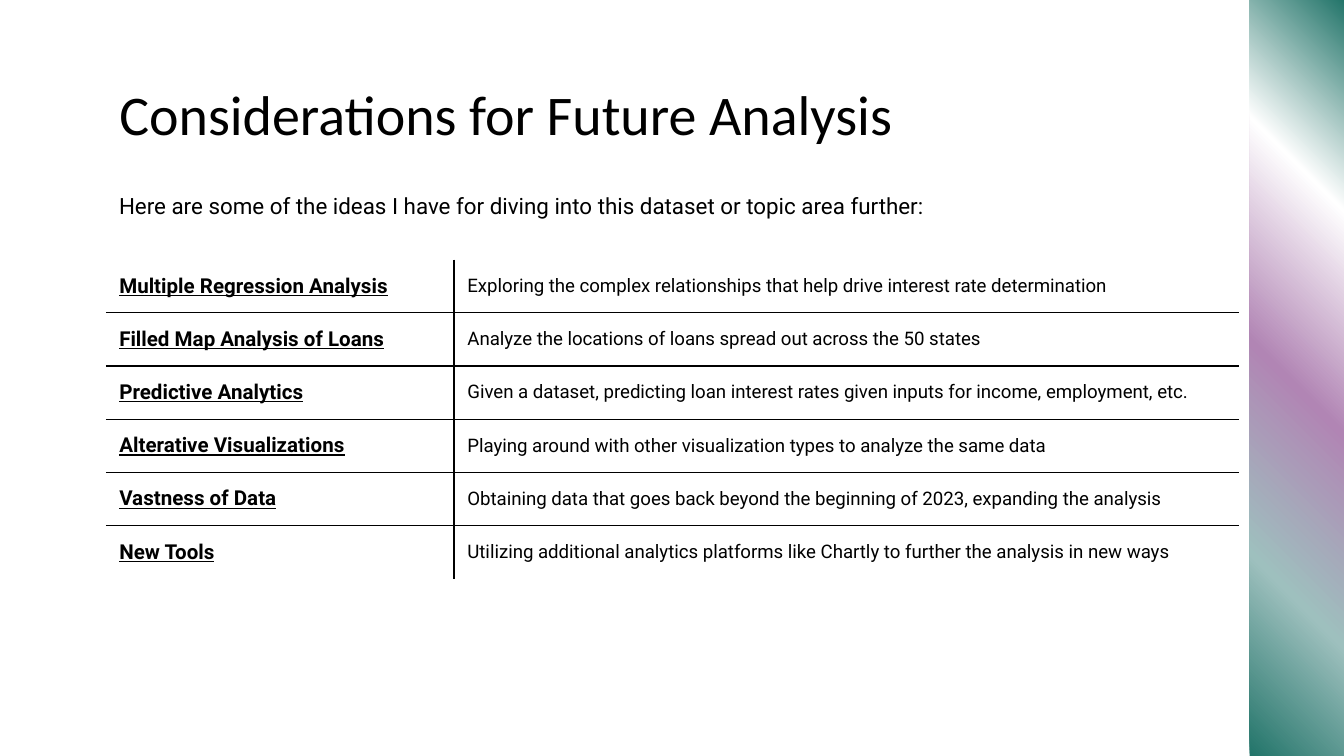
from lxml import etree
from pptx import Presentation
from pptx.dml.color import RGBColor
from pptx.enum.shapes import MSO_SHAPE
from pptx.enum.text import MSO_ANCHOR, MSO_AUTO_SIZE, PP_ALIGN
from pptx.oxml.ns import qn
from pptx.util import Pt

RECTANGLE = MSO_SHAPE.RECTANGLE
TOP, MIDDLE = MSO_ANCHOR.TOP, MSO_ANCHOR.MIDDLE
NO_FIT = MSO_AUTO_SIZE.NONE
LEFT_ALIGN = PP_ALIGN.LEFT

TITLE = "Considerations for Future Analysis"
INTRO = "Here are some of the ideas I have for diving into this dataset or topic area further:"
IDEAS = [
    ("Multiple Regression Analysis", "Exploring the complex relationships that help drive interest rate determination"),
    ("Filled Map Analysis of Loans", "Analyze the locations of loans spread out across the 50 states"),
    ("Predictive Analytics", "Given a dataset, predicting loan interest rates given inputs for income, employment, etc."),
    ("Alterative Visualizations", "Playing around with other visualization types to analyze the same data"),
    ("Vastness of Data", "Obtaining data that goes back beyond the beginning of 2023, expanding the analysis"),
    ("New Tools", "Utilizing additional analytics platforms like Chartly to further the analysis in new ways"),
]
BAND_STOPS = [(0, "207368"), (24, "9EC0BE"), (49, "B185B4"), (75, "FFFFFF"), (100, "207368")]
BLACK = "000000"
INSET = 7.2
LEFT = 56.7
COLUMN_WIDTHS = (186.5, 420.5)
WIDTH = sum(COLUMN_WIDTHS)
TABLE_TOP = 139.1
ROW_HEIGHT = 28.5
BORDER_WIDTH = 0.75


def color(hex_code):
    return RGBColor.from_string(hex_code)


def write(frame, text, size, font, strong=False):
    para = frame.paragraphs[0]
    para.alignment = LEFT_ALIGN
    span = para.add_run()
    span.text = text
    span.font.size = Pt(size)
    span.font.name = font
    span.font.bold = strong
    span.font.underline = strong
    span.font.color.rgb = color(BLACK)


def set_frame(frame, right_inset=INSET):
    frame.word_wrap = True
    frame.auto_size = NO_FIT
    frame.vertical_anchor = TOP
    frame.margin_left = frame.margin_top = frame.margin_bottom = Pt(INSET)
    frame.margin_right = Pt(right_inset)


def add_solid(parent, hex_code):
    solid = etree.SubElement(parent, qn("a:solidFill"))
    etree.SubElement(solid, qn("a:srgbClr"), val=hex_code)


def set_borders(cell, sides):
    properties = cell._tc.get_or_add_tcPr()
    for position, side in enumerate("LRTB"):
        line = etree.Element(qn(f"a:ln{side}"), w=str(Pt(BORDER_WIDTH)))
        if side in sides:
            add_solid(line, BLACK)
        else:
            etree.SubElement(line, qn("a:noFill"))
        properties.insert(position, line)


def add_band(page):
    band = page.shapes.add_shape(RECTANGLE, Pt(669.4), Pt(-2), Pt(50.6), Pt(409))
    band.shadow.inherit = False
    band.line.fill.background()
    band.fill.gradient()
    band.fill.gradient_angle = 45
    stops = band._element.spPr.find(".//" + qn("a:gsLst"))
    for stop in list(stops):
        stops.remove(stop)
    for percent, hex_code in BAND_STOPS:
        stop = etree.SubElement(stops, qn("a:gs"), pos=str(percent * 1000))
        etree.SubElement(stop, qn("a:srgbClr"), val=hex_code)


def add_ideas(page):
    frame = page.shapes.add_table(
        len(IDEAS), len(COLUMN_WIDTHS), Pt(LEFT), Pt(TABLE_TOP), Pt(WIDTH), Pt(ROW_HEIGHT * len(IDEAS))
    )
    table = frame.table
    table.first_row = table.horz_banding = False
    for column, width in zip(table.columns, COLUMN_WIDTHS):
        column.width = Pt(width)
    for row_index, idea in enumerate(IDEAS):
        table.rows[row_index].height = Pt(ROW_HEIGHT)
        for column_index, text in enumerate(idea):
            heading = column_index == 0
            cell = table.cell(row_index, column_index)
            cell.fill.background()
            cell.vertical_anchor = MIDDLE
            cell.margin_left = cell.margin_right = Pt(INSET)
            cell.margin_top = cell.margin_bottom = 0
            write(cell.text_frame, text, 11 if heading else 10, "Roboto", heading)
            sides = "R" if heading else "L"
            if row_index > 0:
                sides += "T"
            if row_index < len(IDEAS) - 1:
                sides += "B"
            set_borders(cell, sides)


def main():
    deck = Presentation()
    deck.slide_width, deck.slide_height = Pt(720), Pt(405)
    page = deck.slides.add_slide(deck.slide_layouts[5])
    add_band(page)

    title = page.shapes.title
    title.left, title.top, title.width, title.height = Pt(LEFT), Pt(35.3), Pt(WIDTH), Pt(45.4)
    set_frame(title.text_frame)
    write(title.text_frame, TITLE, 30, "Calibri")

    add_ideas(page)

    intro = page.shapes.add_textbox(Pt(LEFT), Pt(96), Pt(WIDTH), Pt(28.8))
    set_frame(intro.text_frame, 0)
    write(intro.text_frame, INTRO, 12, "Roboto")

    deck.save("out.pptx")


if __name__ == "__main__":
    main()
